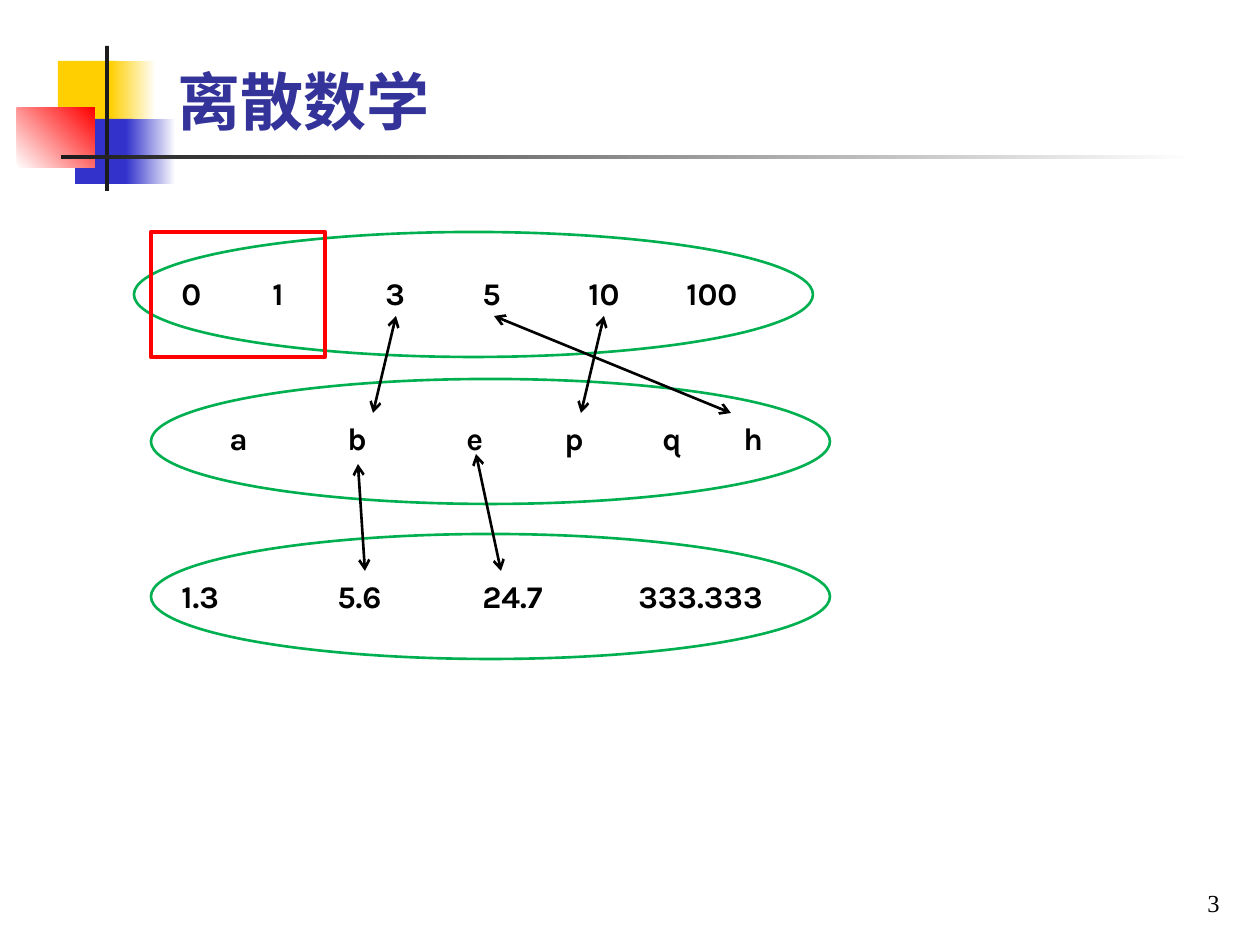
"""Build the discrete mathematics slide showing links between three sets."""
import lxml.etree
import pptx
import pptx.dml.color
import pptx.enum.shapes
import pptx.enum.text
import pptx.oxml.ns
import pptx.util

PX = 914400 // 126
THEME = {
    "yellow": "FFCF01", "blue": "3333CC", "red": "FF0000", "dark": "1C1C1C",
    "white": "FFFFFF", "title": "333399", "text": "000000", "green": "00B050",
    "title_font": "Times New Roman", "set_font": "Karla",
    "title_size": 36, "set_size": 18, "number_size": 14,
    "line": 1.5, "frame_line": 2.5,
}

DECORATIONS = [
    ((58, 61, 60, 65), ("yellow",), 0),
    ((110, 61, 46, 65), ("yellow", "white"), 0),
    ((75, 119, 58, 65), ("blue",), 0),
    ((126, 119, 50, 65), ("blue", "white"), 0),
    ((17, 108, 78, 60), ("white", "red"), 45),
    ((105, 46, 4, 145), ("dark",), 0),
    ((61, 155, 1134, 4), ("dark", "white"), 0),
]
TITLE = "离散数学"
TITLE_BOX = (165, -14, 1100, 158)
PAGE_NUMBER = "3"
PAGE_NUMBER_BOX = (970, 861, 262, 63)

SET_SIZE = (679, 125)
LABEL_WIDTH, LABEL_HEIGHT = 82, 50
SETS = [
    {"corner": (134, 232), "top": 268,
     "members": [("0", 169), ("1", 260), ("3", 373), ("5", 470), ("10", 576), ("100", 674, 111)]},
    {"corner": (151, 379), "top": 413,
     "members": [("a", 217), ("b", 335), ("e", 454), ("p", 552), ("q", 650), ("h", 731)]},
    {"corner": (151, 534), "top": 571,
     "members": [("1.3", 169), ("5.6", 325), ("24.7", 470, 110), ("333.333", 626, 188)]},
]
LINKS = [
    (396, 316, 373, 413),
    (604, 316, 581, 413),
    (476, 454, 501, 571),
    (358, 464, 365, 571),
    (494, 316, 731, 413),
]
FRAME_BOX = (151, 232, 174, 125)


def emu(lengths):
    return [length * PX for length in lengths]


def color(name):
    return pptx.dml.color.RGBColor.from_string(THEME[name])


def write(shape, text, *, font, size, ink="text", bold=False, align="LEFT", anchor="TOP", grow=False):
    frame = shape.text_frame
    frame.word_wrap = True
    frame.vertical_anchor = pptx.enum.text.MSO_ANCHOR[anchor]
    frame.auto_size = pptx.enum.text.MSO_AUTO_SIZE["SHAPE_TO_FIT_TEXT" if grow else "NONE"]
    paragraph = frame.paragraphs[0]
    paragraph.alignment = pptx.enum.text.PP_ALIGN[align]
    run = paragraph.add_run()
    run.text = text
    run.font.name = THEME[font]
    run.font.size = pptx.util.Pt(THEME[size])
    run.font.bold = bold
    run.font.color.rgb = color(ink)
    return run


def add_text_shadow(run):
    qn = pptx.oxml.ns.qn
    effects = lxml.etree.Element(qn("a:effectLst"))
    shadow = lxml.etree.SubElement(effects, qn("a:outerShdw"), dist="35921", dir="2700000")
    lxml.etree.SubElement(shadow, qn("a:srgbClr"), val=THEME["text"])
    run.font.fill._xPr.find(qn("a:solidFill")).addnext(effects)


def add_shape(slide, kind, box, fills=(), angle=0, line=None, width="line"):
    shape = slide.shapes.add_shape(pptx.enum.shapes.MSO_SHAPE[kind], *emu(box))
    shape.shadow.inherit = False
    if len(fills) == 2:
        shape.fill.gradient()
        shape.fill.gradient_angle = angle
        for stop, name in zip(shape.fill.gradient_stops, fills):
            stop.color.rgb = color(name)
    elif fills:
        shape.fill.solid()
        shape.fill.fore_color.rgb = color(fills[0])
    else:
        shape.fill.background()
    if line:
        shape.line.color.rgb = color(line)
        shape.line.width = pptx.util.Pt(THEME[width])
    else:
        shape.line.fill.background()


def add_link(slide, ends):
    connector = slide.shapes.add_connector(pptx.enum.shapes.MSO_CONNECTOR.STRAIGHT, *emu(ends))
    connector.line.color.rgb = color("text")
    connector.line.width = pptx.util.Pt(THEME["line"])
    qn = pptx.oxml.ns.qn
    for tag in ("a:headEnd", "a:tailEnd"):
        lxml.etree.SubElement(connector.line._get_or_add_ln(), qn(tag), type="arrow")
    lxml.etree.SubElement(connector._element.spPr, qn("a:effectLst"))


def main():
    presentation = pptx.Presentation()
    presentation.slide_width = pptx.util.Inches(10)
    presentation.slide_height = pptx.util.Inches(7.5)
    slide = presentation.slides.add_slide(presentation.slide_layouts[5])

    for box, fills, angle in DECORATIONS:
        add_shape(slide, "RECTANGLE", box, fills, angle)

    title = slide.shapes.title
    title.left, title.top, title.width, title.height = emu(TITLE_BOX)
    add_text_shadow(write(title, TITLE, font="title_font", size="title_size",
                          ink="title", bold=True, anchor="BOTTOM"))
    write(slide.shapes.add_textbox(*emu(PAGE_NUMBER_BOX)), PAGE_NUMBER,
          font="title_font", size="number_size", align="RIGHT", anchor="BOTTOM")

    for group in SETS:
        for text, left, *width in group["members"]:
            box = (left, group["top"], *(width or [LABEL_WIDTH]), LABEL_HEIGHT)
            write(slide.shapes.add_textbox(*emu(box)), text,
                  font="set_font", size="set_size", bold=True, grow=True)
        add_shape(slide, "OVAL", group["corner"] + SET_SIZE, line="green")

    for ends in LINKS:
        add_link(slide, ends)
    add_shape(slide, "RECTANGLE", FRAME_BOX, line="red", width="frame_line")
    presentation.save("out.pptx")


if __name__ == "__main__":
    main()
